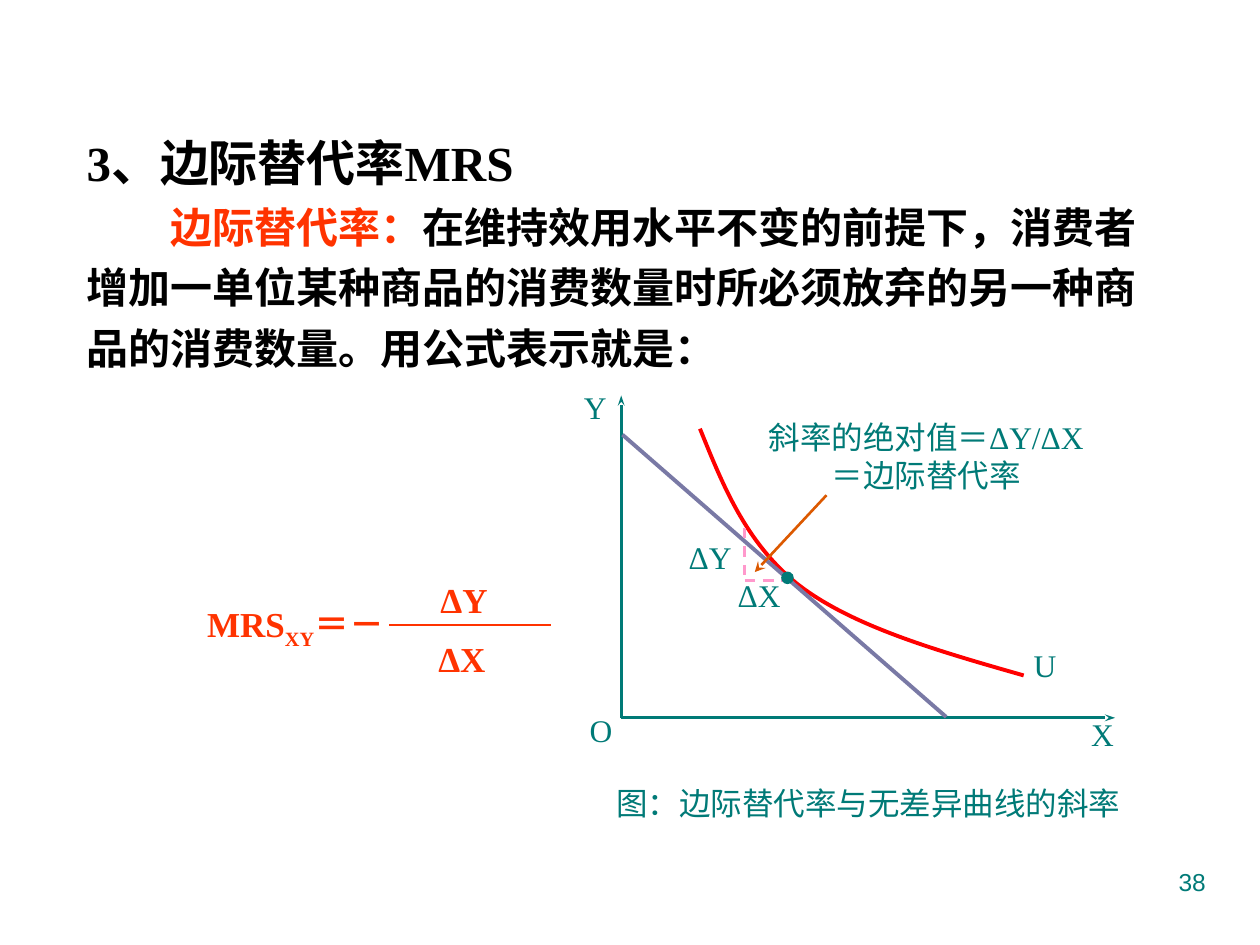
import dataclasses

import pptx
import pptx.dml.color
import pptx.enum.dml
import pptx.enum.shapes
import pptx.enum.text
import pptx.oxml.ns
import pptx.oxml.xmlchemy
import pptx.util

Pt = pptx.util.Pt
RGB = pptx.dml.color.RGBColor.from_string
Align = pptx.enum.text.PP_ALIGN
qn = pptx.oxml.ns.qn
add_child = pptx.oxml.xmlchemy.OxmlElement


@dataclasses.dataclass(frozen=True)
class Theme:
    ink: str = "000000"
    teal: str = "007A77"
    accent: str = "FF3300"
    curve: str = "FF0000"
    tangent: str = "7979A5"
    delta: str = "FF99CC"
    pointer: str = "DC5900"
    heading: int = 28
    body: int = 24
    formula: int = 20
    label: int = 18
    number: int = 14
    serif: str = "Times New Roman"
    sans: str = "Arial"
    chinese: str = "Noto Sans CJK SC"


theme = Theme()
prs = pptx.Presentation()
prs.slide_width, prs.slide_height = Pt(720), Pt(540)
s = prs.slides.add_slide(prs.slide_layouts[6])


def add_text(box, paragraphs, size, align=Align.CENTER, font=theme.serif,
             bold=False, inset=(7.2, 3.6), grow=False):
    tf = s.shapes.add_textbox(*map(Pt, box)).text_frame
    tf.word_wrap = True
    tf.margin_left = tf.margin_right = Pt(inset[0])
    tf.margin_top = tf.margin_bottom = Pt(inset[1])
    if grow:
        tf.auto_size = pptx.enum.text.MSO_AUTO_SIZE.SHAPE_TO_FIT_TEXT
    for i, runs in enumerate(paragraphs):
        p = tf.add_paragraph() if i else tf.paragraphs[0]
        p.alignment = align
        for text, color in runs:
            r = p.add_run()
            r.text = text
            r.font.size, r.font.bold, r.font.name = Pt(size), bold, font
            r.font.color.rgb = RGB(color)
            ea = add_child("a:ea")
            ea.set("typeface", theme.chinese)
            r.font._element.find(qn("a:latin")).addnext(ea)
    return tf


def add_line(start, end, color, width, arrow=None, dash=False):
    sp = s.shapes.add_connector(pptx.enum.shapes.MSO_CONNECTOR.STRAIGHT,
                                *map(Pt, start + end))
    sp.line.color.rgb, sp.line.width = RGB(color), Pt(width)
    if dash:
        sp.line.dash_style = pptx.enum.dml.MSO_LINE.DASH
    if arrow:
        tail = add_child("a:tailEnd")
        tail.set("type", "stealth")
        tail.set("w", arrow)
        sp.line._get_or_add_ln().append(tail)
    sp._element.spPr.append(add_child("a:effectLst"))


tf = add_text((42.5, 65.5, 623.5, 151.2), [
    [("3、边际替代率MRS", theme.ink)],
    [("边际替代率：", theme.accent),
     ("在维持效用水平不变的前提下，消费者增加一单位某种商品的消费数量时所必须放弃的另一种商品的消费数量。用公式表示就是：", theme.ink)],
], theme.body, align=Align.LEFT, bold=True, grow=True)
for p in tf.paragraphs:
    p.line_spacing = 1.2
tf.paragraphs[0].runs[0].font.size = Pt(theme.heading)
tf.paragraphs[1]._p.get_or_add_pPr().set("indent", str(Pt(2 * theme.body)))

labels = [("ΔX", 414, 326.2), ("ΔY", 386, 304.6), ("O", 323.6, 403.2),
          ("X", 610.2, 405.6), ("Y", 320.4, 218.9), ("U", 577.4, 366.5)]
for text, x, y in labels:
    add_text((x, y, 39.6, 28.8), [[(text, theme.teal)]], theme.label, inset=(4.3, 2.9))
add_text((314.6, 444.2, 362.9, 30.2), [[("图：边际替代率与无差异曲线的斜率", theme.teal)]],
         theme.label, font=theme.chinese)

origin = (355, 410.2)
add_line(origin, (355, 226), theme.teal, 1.5, arrow="sm")
add_line(origin, (637.2, 410.2), theme.teal, 1.5, arrow="sm")

bezier = [(399.6, 244.8), (412.6, 277.2), (425.5, 310.3), (456.5, 334.1),
          (487.4, 357.8), (535.7, 371.5), (584.6, 385.6)]
builder = s.shapes.build_freeform(*bezier[0], scale=Pt(1))
builder.add_line_segments(bezier[1:], close=False)
sp = builder.convert_to_shape()
sp.shadow.inherit = False
sp.fill.background()
sp.line.color.rgb, sp.line.width = RGB(theme.curve), Pt(2.25)
segments = list(sp._element.iter(qn("a:lnTo")))
for i in range(0, len(segments), 3):
    cubic = add_child("a:cubicBezTo")
    segments[i].addprevious(cubic)
    for segment in segments[i:i + 3]:
        cubic.append(segment[0])
        segment.getparent().remove(segment)

add_line((355.7, 248.4), (540.7, 409.7), theme.tangent, 2.25)
corner = (425.5, 331.9)
add_line((425.5, 301.7), corner, theme.delta, 1.5, dash=True)
add_line(corner, (452.2, 331.9), theme.delta, 1.5, dash=True)

sp = s.shapes.add_shape(pptx.enum.shapes.MSO_SHAPE.OVAL, *map(Pt, (446.4, 326.6, 7.2, 7.2)))
sp.shadow.inherit = False
sp.fill.solid()
sp.fill.fore_color.rgb = RGB(theme.teal)
sp.line.fill.background()

add_text((403.9, 236.2, 250.6, 36.7),
         [[("斜率的绝对值＝ΔY/ΔX", theme.teal)], [("＝边际替代率", theme.teal)]],
         theme.label, inset=(4.3, 2.9))
add_line((472.3, 283), (431.3, 326.9), theme.pointer, 1.5, arrow="med")

tf = add_text((59.8, 340.6, 167, 34.6),
              [[("MRS", theme.accent), ("XY", theme.accent), ("＝－", theme.accent)]],
              theme.formula, align=Align.RIGHT, bold=True, grow=True)
tf.paragraphs[0].runs[1].font._element.set("baseline", "-25000")
add_line((222.5, 357.1), (314.6, 357.1), theme.accent, 0.75)
for text, x, y in [("ΔX", 239, 360.7), ("ΔY", 240.2, 326.9)]:
    add_text((x, y, 50, 31.7), [[(text, theme.accent)]], theme.formula,
             bold=True, grow=True)

add_text((516.2, 491.8, 180, 37.4), [[("38", theme.teal)]], theme.number,
         align=Align.RIGHT, font=theme.sans)

prs.save("out.pptx")
